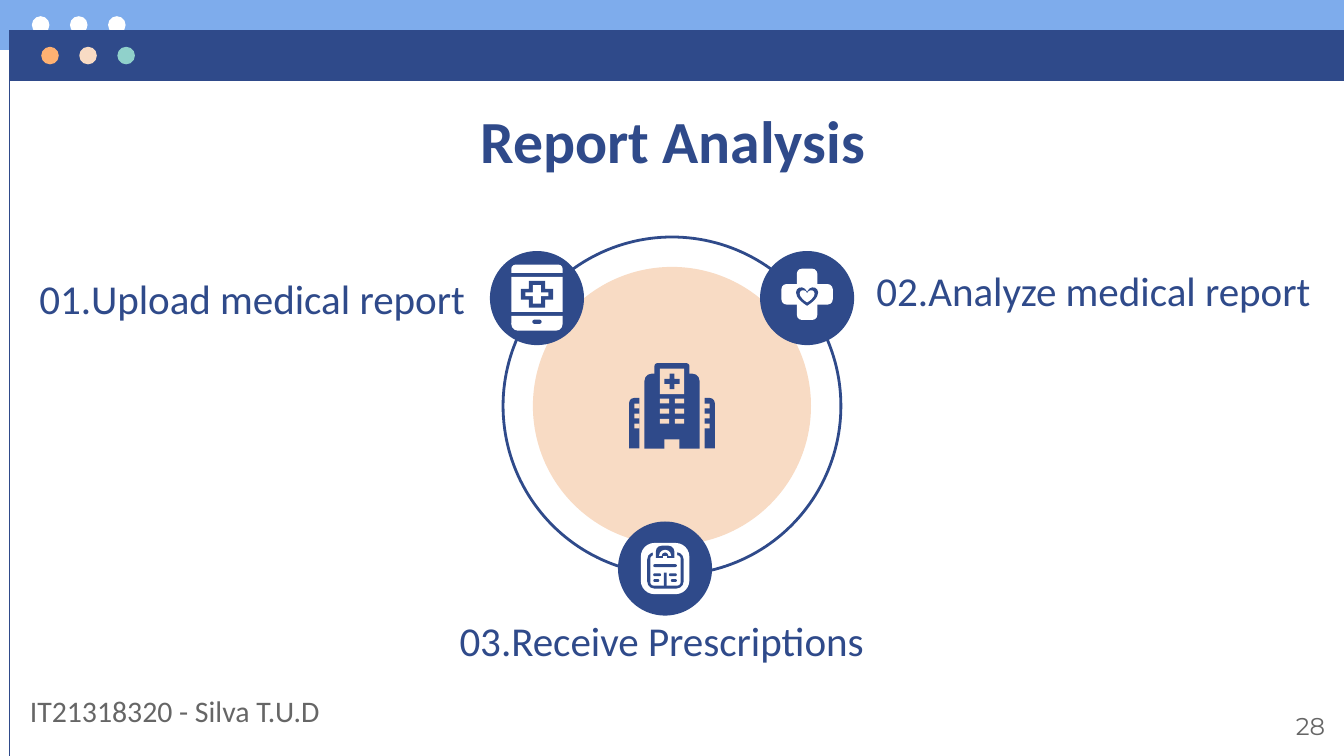
from lxml import etree
from pptx import Presentation
from pptx.dml.color import RGBColor
from pptx.enum.shapes import MSO_CONNECTOR, MSO_SHAPE
from pptx.enum.text import MSO_ANCHOR, PP_ALIGN
from pptx.oxml.ns import qn
from pptx.util import Pt

OVAL = MSO_SHAPE.OVAL
BAR = MSO_SHAPE.RECTANGLE
ROUND = MSO_SHAPE.ROUNDED_RECTANGLE
ROUND_ONE = MSO_SHAPE.ROUND_1_RECTANGLE
ROUND_TOP = MSO_SHAPE.ROUND_2_SAME_RECTANGLE
CROSS = MSO_SHAPE.CROSS
HEART = MSO_SHAPE.HEART
ARC = MSO_SHAPE.BLOCK_ARC
LEFT, CENTER, RIGHT = PP_ALIGN.LEFT, PP_ALIGN.CENTER, PP_ALIGN.RIGHT

COLORS = {
    "navy": "2F4A8A", "sky": "7EACEC", "peach": "F8DBC4", "orange": "FFB172",
    "mint": "90D1CB", "white": "FFFFFF", "gray": "666666",
}
WIDTH, HEIGHT = 720, 405

# text, left, top, width, height, size, font, color, bold, alignment
TEXTS = [
    ("Report Analysis", 8.1, 48.3, 705, 37, 32, "Calibri", "navy", True, CENTER),
    ("IT21318320 - Silva T.U.D", 8.9, 364, 227.5, 35, 16, "Calibri", "gray", False, LEFT),
    ("01.Upload medical report", 14.1, 139.4, 244, 45, 22, "Calibri", "navy", False, LEFT),
    ("02.Analyze medical report", 462.4, 135, 249, 45, 22, "Calibri", "navy", False, LEFT),
    ("03.Receive Prescriptions", 239.1, 322.6, 244, 45, 22, "Calibri", "navy", False, LEFT),
    ("28", 673.7, 373.7, 43.2, 31, 13, "Montserrat", "gray", False, RIGHT),
]

# band left, top, height, color; first dot center x, y; dot colors
WINDOW_BARS = [
    (0, 0, 26.8, "sky", 21.8, 13.4, ("white", "white", "white")),
    (5, 16.2, 27.2, "navy", 26.8, 29.8, ("orange", "peach", "mint")),
]
DOT, DOT_STEP = 9.4, 20.4

HUB = (360, 217.5)
RING_SIZE, HUB_SIZE, DISC_SIZE = 181, 149, 50.4

# Icon parts: shape, center offset x and y, width, height, fill, adjustments
# A negative width mirrors the part.
HOSPITAL = [
    (ROUND_ONE, -20.2, 9.2, -5.5, 27, "navy", (0.5,)),
    (ROUND_ONE, 20.2, 9.2, 5.5, 27, "navy", (0.5,)),
    (ROUND_TOP, 0, -17.5, 18.7, 10.8, "navy", (0.13,)),
    (ROUND_TOP, 0, 2.8, 29.5, 40.2, "navy", (0.13,)),
    (BAR, 0, -13.2, 13, 13.7, "peach", ()),
    (CROSS, 0, -13.2, 8.2, 8.2, "navy", (0.34,)),
    (BAR, 0, 20.5, 8, 5.2, "peach", ()),
] + [
    (BAR, x, top + 5.4 * row, width, 2.6, "peach", ())
    for x, top, width in [(-4, -2.6, 5), (4, -2.6, 5), (-18.7, 0, 2.9), (18.7, 0, 2.9)]
    for row in range(3)
]
PHONE = [
    (ROUND_TOP, 0, -15.7, 27.5, 4.4, "white", (0.5, 0)),
    (BAR, 0, -2, 27.5, 18.8, "white", ()),
    (ROUND_TOP, 0, 13.5, 27.5, 8, "white", (0, 0.45)),
    (CROSS, 0, -2, 17.3, 14.4, "navy", (0.3,)),
    (CROSS, 0, -2, 12.3, 10, "white", (0.4,)),
    (ROUND, 0, 12.7, 5, 2.2, "navy", (0.5,)),
]
HEART_CROSS = [
    (ROUND, 0, -2, 11, 27.5, "white", (0.25,)),
    (ROUND, 0, -2, 27.5, 11, "white", (0.25,)),
    (HEART, 0, -0.9, 11.8, 10, "navy", ()),
    (HEART, 0, -1, 7.9, 6.6, "white", ()),
]
CLIPBOARD = [
    (ROUND, 0, 0, 26, 27.4, "white", (0.28,)),
    (ROUND, 0.2, 1, 19.5, 19.5, "navy", (0.2,)),
    (ROUND, 0.2, 1, 16.3, 16.3, "white", (0.12,)),
    (BAR, 0, -7.8, 13, 4, "white", ()),
    (ROUND_TOP, 0, -9, 10, 6.5, "navy", (0.5,)),
    (ARC, 0, -6.8, 6.5, 6.5, "white", (108, 0, 0.22)),
    (BAR, 0, -6, 2, 1.2, "white", ()),
    (ROUND, 0, -1.6, 12.6, 1.5, "navy", (0.5,)),
    (BAR, 0.1, 5.8, 1.5, 7.4, "navy", ()),
] + [
    (ROUND, side * (6.3 - width / 2), y, width, 1.5, "navy", (0.5,))
    for width, y in [(4.2, 3.3), (3.2, 6.4)] for side in (-1, 1)
]
STEPS = [((432.4, 159.7), HEART_CROSS), ((287.7, 159.7), PHONE),
         ((356.3, 304.6), CLIPBOARD)]


def rgb(name):
    return RGBColor.from_string(COLORS[name])


def add_centered(slide, kind, x, y, width, height, fill=None, adjustments=()):
    """Add a flat, borderless shape around (x, y); a negative width mirrors it."""
    span = abs(width)
    shape = slide.shapes.add_shape(
        kind, Pt(x - span / 2), Pt(y - height / 2), Pt(span), Pt(height))
    if width < 0:
        shape._element.spPr.find(qn("a:xfrm")).set("flipH", "1")
    shape.shadow.inherit = False
    shape.line.fill.background()
    if fill:
        shape.fill.solid()
        shape.fill.fore_color.rgb = rgb(fill)
    else:
        shape.fill.background()
    for index, value in enumerate(adjustments):
        shape.adjustments[index] = value
    return shape


def add_icon(slide, center, parts):
    for kind, dx, dy, width, height, fill, adjustments in parts:
        add_centered(slide, kind, center[0] + dx, center[1] + dy,
                     width, height, fill, adjustments)


def add_text(slide, text, left, top, width, height, size, font, color, bold, align):
    frame = slide.shapes.add_textbox(Pt(left), Pt(top), Pt(width), Pt(height)).text_frame
    frame.word_wrap = True
    frame.vertical_anchor = MSO_ANCHOR.TOP
    frame.margin_left = frame.margin_right = Pt(7.2)
    frame.margin_top = frame.margin_bottom = Pt(7.2)
    frame.text = text
    paragraph = frame.paragraphs[0]
    paragraph.alignment = align
    run_font = paragraph.runs[0].font
    run_font.size, run_font.name, run_font.bold = Pt(size), font, bold
    run_font.color.rgb = rgb(color)


def add_window_frame(slide):
    for left, top, height, color, dot_x, dot_y, dots in WINDOW_BARS:
        width = WIDTH - left
        add_centered(slide, BAR, left + width / 2, top + height / 2, width, height, color)
        for index, dot in enumerate(dots):
            add_centered(slide, OVAL, dot_x + index * DOT_STEP, dot_y, DOT, DOT, dot)
    edge = slide.shapes.add_connector(
        MSO_CONNECTOR.STRAIGHT, Pt(5), Pt(16.2), Pt(5), Pt(HEIGHT))
    edge.line.color.rgb = rgb("navy")
    edge.line.width = Pt(0.75)
    etree.SubElement(edge._element.spPr, qn("a:effectLst"))


def main():
    deck = Presentation()
    deck.slide_width, deck.slide_height = Pt(WIDTH), Pt(HEIGHT)
    slide = deck.slides.add_slide(deck.slide_layouts[6])
    add_window_frame(slide)

    ring = add_centered(slide, OVAL, *HUB, RING_SIZE, RING_SIZE)
    ring.line.color.rgb = rgb("navy")
    ring.line.width = Pt(1.5)
    add_centered(slide, OVAL, *HUB, HUB_SIZE, HUB_SIZE, "peach")
    add_icon(slide, HUB, HOSPITAL)
    for center, icon in STEPS:
        add_centered(slide, OVAL, *center, DISC_SIZE, DISC_SIZE, "navy")
        add_icon(slide, center, icon)

    for text in TEXTS:
        add_text(slide, *text)
    deck.save("out.pptx")


if __name__ == "__main__":
    main()
